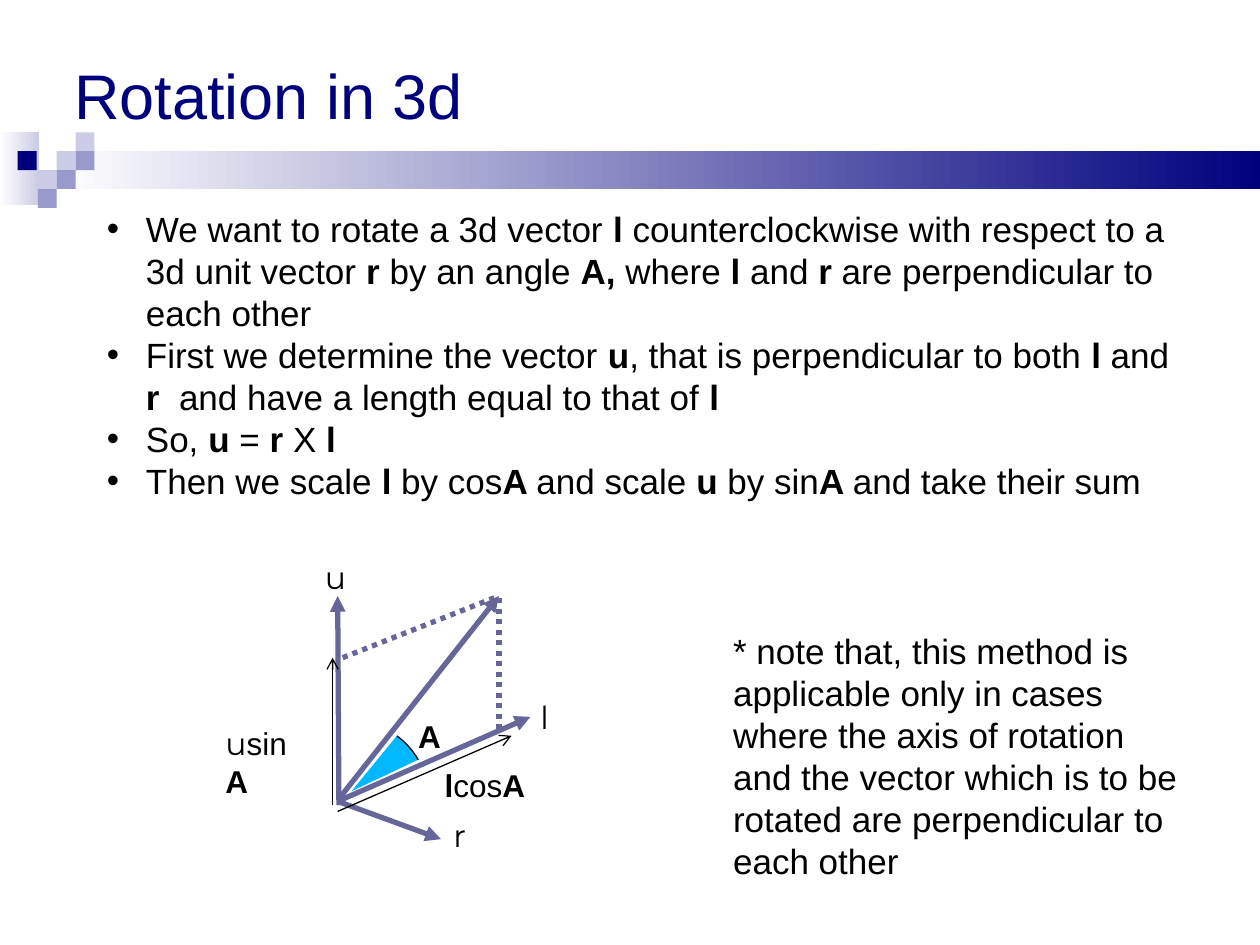
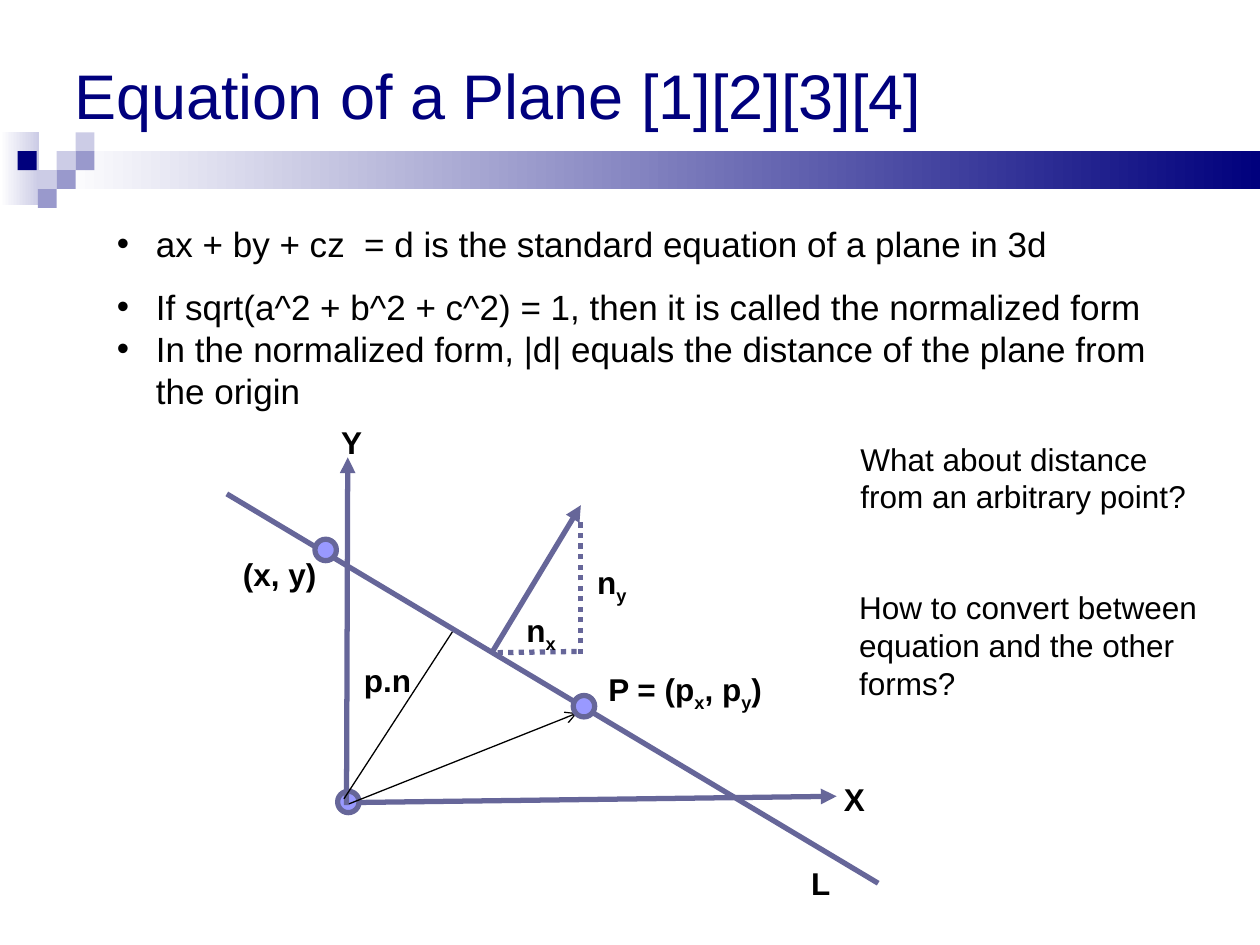
from lxml import etree
from pptx import Presentation
from pptx.dml.color import RGBColor
from pptx.enum.dml import MSO_LINE
from pptx.enum.shapes import MSO_CONNECTOR, MSO_SHAPE
from pptx.enum.text import MSO_ANCHOR, PP_ALIGN
from pptx.oxml.ns import qn
from pptx.util import Inches, Pt

RECTANGLE, OVAL = MSO_SHAPE.RECTANGLE, MSO_SHAPE.OVAL
STRAIGHT = MSO_CONNECTOR.STRAIGHT
DOTTED = MSO_LINE.ROUND_DOT
LEFT, TOP, MIDDLE = PP_ALIGN.LEFT, MSO_ANCHOR.TOP, MSO_ANCHOR.MIDDLE

WHITE, BLACK, NAVY = "FFFFFF", "000000", "00007D"
PALE, LILAC, SLATE = "CCCCE6", "9999CC", "666699"
POINT_FILL, ANGLE_FILL = "9999FF", "00B8FF"
BODY_FONT, VECTOR_FONT = "Arial", "Montserrat"

TILE = 0.15
TILES = [
    (0.45, 1.2, PALE), (0.6, 1.05, PALE), (0.6, 1.2, LILAC), (0.3, 1.35, PALE),
    (0.14, 1.2, NAVY), (0.45, 1.35, LILAC), (0.3, 1.5, LILAC),
]
FADES = [(0, 1.05, 0.31, 0.58, PALE), (0.45, 1.2, 9.55, 0.3, NAVY)]


def rgb(value):
    """Turn a hex string into a colour."""
    return RGBColor.from_string(value)


def curve(start, bend_a, bend_b, end, steps=12):
    """Return points along a cubic curve."""
    points = []
    for step in range(steps + 1):
        t = step / steps
        weights = ((1 - t) ** 3, 3 * t * (1 - t) ** 2, 3 * t * t * (1 - t), t ** 3)
        points.append(tuple(
            sum(w * p[axis] for w, p in zip(weights, (start, bend_a, bend_b, end)))
            for axis in (0, 1)))
    return points


class Deck:
    """Hold the shared style and the slide being drawn."""

    def __init__(self):
        """Start an empty presentation."""
        self.prs = Presentation()
        self.prs.slide_width, self.prs.slide_height = Inches(10), Inches(7.5)
        self.slide = None

    def new_slide(self, title):
        """Add a slide with its title and the decorative band."""
        self.slide = self.prs.slides.add_slide(self.prs.slide_layouts[5])
        for left, top, width, height, colour in FADES:
            self.fade(left, top, width, height, colour)
        for left, top, colour in TILES:
            self.shape(RECTANGLE, left, top, TILE, TILE, colour)
        heading = self.slide.shapes.title
        heading.left, heading.top = Inches(0.49), Inches(0)
        heading.width, heading.height = Inches(9), Inches(1.5)
        heading.text_frame.vertical_anchor = MIDDLE
        self.add_runs(heading.text_frame.paragraphs[0], title, 36, colour=NAVY)

    def shape(self, kind, left, top, width, height, colour):
        """Add a filled preset shape without outline."""
        shape = self.slide.shapes.add_shape(
            kind, Inches(left), Inches(top), Inches(width), Inches(height))
        shape.shadow.inherit = False
        shape.fill.solid()
        shape.fill.fore_color.rgb = rgb(colour)
        shape.line.fill.background()
        return shape

    def fade(self, left, top, width, height, colour):
        """Add a bar that fades from white to a colour."""
        fill = self.shape(RECTANGLE, left, top, width, height, colour).fill
        fill.gradient()
        fill.gradient_angle = 0
        for stop, position, tone in zip(fill.gradient_stops, (0, 1), (WHITE, colour)):
            stop.position = position
            stop.color.rgb = rgb(tone)

    def point(self, left, top):
        """Add a marked point."""
        dot = self.shape(OVAL, left, top, 0.17, 0.17, POINT_FILL)
        dot.line.color.rgb = rgb(SLATE)
        dot.line.width = Pt(3)

    def line(self, start, end, colour=SLATE, width=3, head=None, dash=None):
        """Add a straight line, with an arrowhead at its end if asked."""
        line = self.slide.shapes.add_connector(
            STRAIGHT, *(Inches(value) for value in start + end))
        line.line.color.rgb = rgb(colour)
        line.line.width = Pt(width)
        if dash:
            line.line.dash_style = dash
        if head:
            etree.SubElement(line.line._get_or_add_ln(), qn("a:tailEnd"), type=head)
        etree.SubElement(line._element.spPr, qn("a:effectLst"))

    def vector(self, start, end):
        """Add a thick arrow."""
        self.line(start, end, head="triangle")

    def thin(self, start, end, head="arrow"):
        """Add a thin black line."""
        self.line(start, end, BLACK, 0.75, head)

    def dotted(self, start, end):
        """Add a dotted guide line."""
        self.line(start, end, dash=DOTTED)

    def outline(self, points, closed):
        """Add a freeform through points, without shadow."""
        builder = self.slide.shapes.build_freeform(
            *(Inches(value) for value in points[0]))
        builder.add_line_segments(
            [(Inches(x), Inches(y)) for x, y in points[1:]], close=closed)
        form = builder.convert_to_shape()
        form.shadow.inherit = False
        return form

    def angle(self, apex, arc):
        """Add a filled angle whose arc alone is outlined."""
        wedge = self.outline([apex] + arc, True)
        wedge.fill.solid()
        wedge.fill.fore_color.rgb = rgb(ANGLE_FILL)
        wedge.line.fill.background()
        edge = self.outline(arc, False)
        edge.fill.background()
        edge.line.color.rgb = rgb(BLACK)
        edge.line.width = Pt(0.75)

    def add_runs(self, paragraph, text, size, bold=False, font=BODY_FONT, colour=BLACK):
        """Add text where ~ switches bold and _ switches subscript."""
        paragraph.alignment = LEFT
        for i, piece in enumerate(text.split("~")):
            for j, part in enumerate(piece.split("_")):
                if not part:
                    continue
                run = paragraph.add_run()
                run.text = part
                style = {"name": font, "size": Pt(size), "bold": bold != bool(i % 2)}
                for key, value in style.items():
                    setattr(run.font, key, value)
                run.font.color.rgb = rgb(colour)
                if j % 2:
                    run._r.get_or_add_rPr().set("baseline", "-25000")

    def frame(self, left, top, width, height):
        """Add a wrapping text box and return its text frame."""
        frame = self.slide.shapes.add_textbox(
            Inches(left), Inches(top), Inches(width), Inches(height)).text_frame
        frame.word_wrap = True
        frame.vertical_anchor = TOP
        return frame

    def text(self, left, top, width, height, text, size=18, **style):
        """Add one paragraph in a box and return the paragraph."""
        paragraph = self.frame(left, top, width, height).paragraphs[0]
        self.add_runs(paragraph, text, size, **style)
        return paragraph

    def label(self, left, top, text, width=0.5, **style):
        """Add a short label to the diagram."""
        return self.text(left, top, width, 0.4, text, **style)

    def bullets(self, left, top, width, height, items):
        """Add a bulleted list of (text, line spacing) items."""
        frame = self.frame(left, top, width, height)
        for index, (text, spacing) in enumerate(items):
            paragraph = frame.add_paragraph() if index else frame.paragraphs[0]
            props = paragraph._p.get_or_add_pPr()
            props.set("marL", str(Inches(0.31)))
            props.set("indent", str(-Inches(0.31)))
            bullet_colour = etree.SubElement(props, qn("a:buClr"))
            etree.SubElement(bullet_colour, qn("a:srgbClr"), val=BLACK)
            etree.SubElement(props, qn("a:buFont"), typeface=BODY_FONT)
            etree.SubElement(props, qn("a:buChar"), char="•")
            paragraph.line_spacing = spacing
            self.add_runs(paragraph, text, 20)


def rotation_slide(deck):
    """Draw the rotation of a vector around an axis."""
    deck.new_slide("Rotation in 3d")
    deck.bullets(0.75, 1.6, 8.74, 2.44, [
        ("We want to rotate a 3d vector ~l~ counterclockwise with respect to a 3d unit "
         "vector ~r~ by an angle ~A, ~where ~l~ and ~r~ are perpendicular to each other", 1.0),
        ("First we determine the vector ~u~, that is perpendicular to both ~l~ and ~r ~ "
         "and have a length equal to that of ~l~", 1.0),
        ("So, ~u~ = ~r~ X ~l~", 1.0),
        ("Then we scale ~l~ by cos~A ~and scale ~u~ by sin~A ~and take their sum", 1.0),
    ])
    rotated = (3.96, 4.73)
    deck.vector((2.68, 6.36), (3.5, 6.66))
    deck.vector((2.69, 6.39), (2.68, 4.73))
    deck.vector((2.69, 6.34), rotated)
    deck.thin((2.64, 6.39), (2.64, 5.22))
    deck.thin((2.68, 6.44), (4.06, 5.84))
    deck.dotted((2.72, 5.22), rotated)
    deck.dotted((3.96, 5.79), rotated)
    deck.angle((2.79, 6.28), curve((3.15, 5.84), (3.22, 5.89), (3.28, 5.96), (3.32, 6.03)))
    deck.vector((2.68, 6.36), (4.21, 5.69))

    deck.label(3.43, 6.03, "~l~cos~A~", 0.95)
    u_sine = deck.label(1.69, 5.7, "u~~sin~A~", 0.85)
    u_sine.runs[0].font.name = VECTOR_FONT
    deck.label(3.22, 5.64, "~A~")
    for left, top, name in [(4.19, 5.49, "l"), (3.5, 6.43, "r"), (2.48, 4.38, "u")]:
        deck.label(left, top, name, font=VECTOR_FONT)
    deck.text(5.72, 4.95, 3.74, 2.1,
              "* note that, this method is applicable only in cases where the axis of "
              "rotation and the vector which is to be rotated are perpendicular to each other",
              size=20)


def plane_slide(deck):
    """Draw the line, its normal and the distance from the origin."""
    deck.new_slide("Equation of a Plane [1][2][3][4]")
    deck.bullets(0.83, 1.55, 8.66, 1.77, [
        ("ax + by + cz  = d is the standard equation of a plane in 3d", 1.5),
        ("If sqrt(a^2 + b^2 + c^2) = 1, then it is called the normalized form", 1.5),
        ("In the normalized form, |d| equals the distance of the plane from the origin", 1.0),
    ])
    deck.vector((2.78, 6.37), (6.64, 6.32))
    deck.point(2.68, 6.28)
    deck.vector((2.75, 6.39), (2.76, 3.63))
    deck.vector((3.91, 5.17), (4.61, 4.01))
    deck.thin((2.77, 6.38), (4.58, 5.66))
    deck.thin((2.73, 6.34), (3.6, 5), head=None)
    deck.dotted((3.95, 5.18), (4.61, 5.17))
    deck.dotted((4.61, 5.19), (4.61, 4.14))
    deck.line((1.8, 3.92), (6.97, 7.01))
    deck.point(4.55, 5.52)
    deck.point(2.5, 4.28)

    for left, top, name, width in [
        (4.73, 5.27, "P = (p_x_, p_y_)", 1.47), (2.79, 5.2, "p.n", 0.7),
        (2.61, 3.31, "Y", 0.5), (6.6, 6.14, "X", 0.5), (6.34, 6.81, "L", 0.5),
        (4.08, 4.8, "n_x_", 0.54), (4.64, 4.42, "n_y_", 0.54), (1.83, 4.36, "(x, y)", 0.91),
    ]:
        deck.label(left, top, name, width, bold=True)
    deck.text(6.73, 3.44, 2.91, 0.7, "What about distance from an arbitrary point?")
    deck.text(6.72, 4.62, 3.01, 1, "How to convert between equation and the other forms?")


def main():
    """Build both slides and save them."""
    deck = Deck()
    rotation_slide(deck)
    plane_slide(deck)
    deck.prs.save("out.pptx")


if __name__ == "__main__":
    main()
